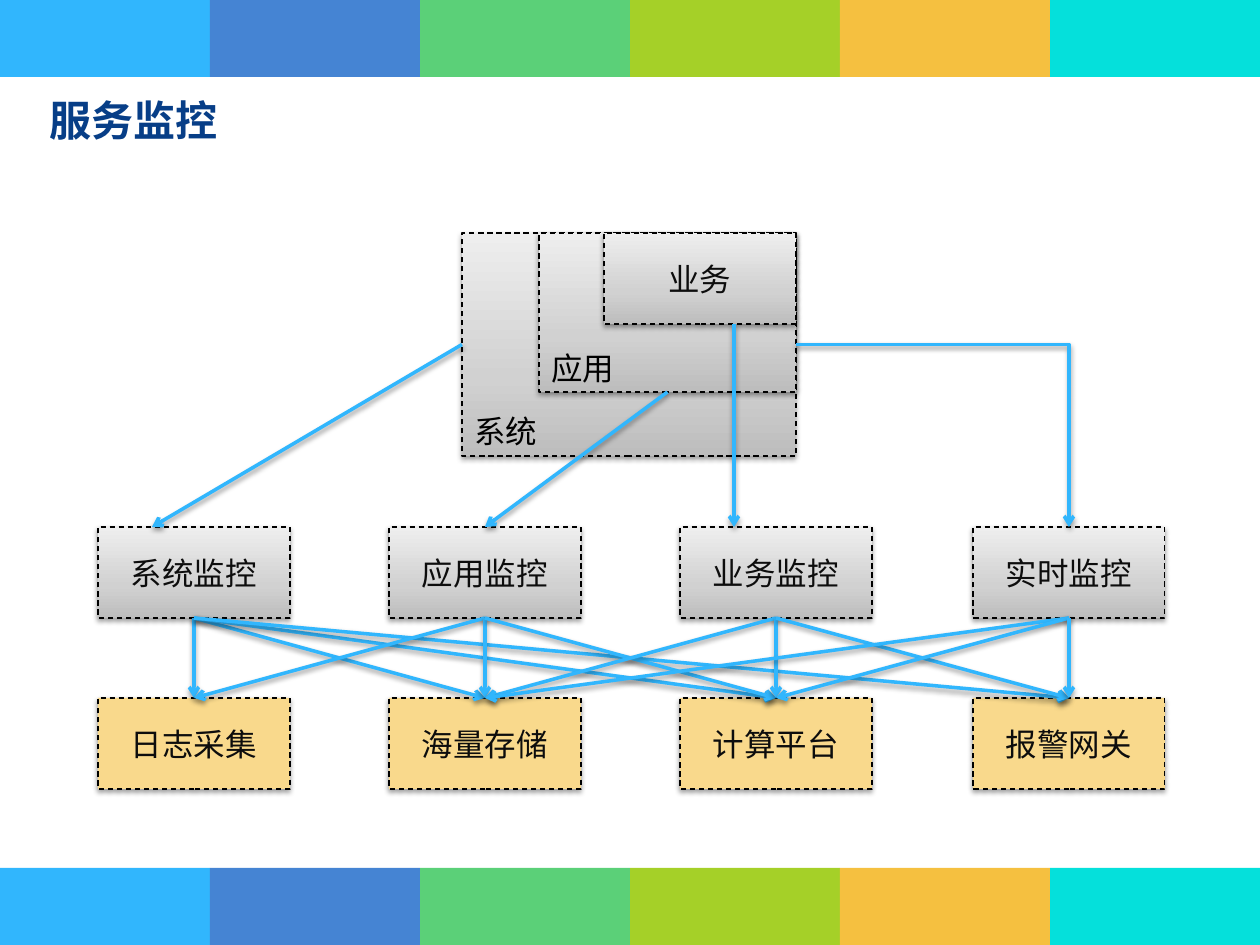
"""Build the service monitoring slide."""
from dataclasses import dataclass
from typing import Optional

from lxml.etree import SubElement
from pptx import Presentation
from pptx.dml.color import RGBColor
from pptx.enum.dml import MSO_LINE
from pptx.enum.shapes import MSO_CONNECTOR, MSO_SHAPE
from pptx.enum.text import MSO_ANCHOR, PP_ALIGN
from pptx.oxml.ns import qn
from pptx.shapes.autoshape import Shape
from pptx.shapes.connector import Connector
from pptx.slide import Slide
from pptx.util import Emu, Pt

TOP, LEFT, BOTTOM, RIGHT = range(4)


@dataclass(frozen=True)
class Theme:
    """Colours, fonts and sizes of the slide."""
    bands: tuple = ("31B6FD", "4584D3", "5BD078", "A5D028", "F5C040", "05E0DB")
    gradient: tuple = ((0, "BDBDBD"), (35, "D1D1D1"), (100, "EEEEEE"))
    service: str = "F9D98C"
    title: str = "073E87"
    text: str = "0D0D0D"
    label: str = "000000"
    outline: str = "000000"
    arrow: str = "31B6FD"
    title_font: str = "Noto Sans CJK SC"
    body_font: str = "TeX Gyre Adventor"
    title_size: int = 24
    body_size: int = 18


@dataclass(frozen=True)
class Box:
    """A rectangle in px; without a fill it takes the grey gradient."""
    left: int
    top: int
    width: int
    height: int
    text: str = ""
    fill: Optional[str] = None


THEME = Theme()
WIDTH, HEIGHT = 1260, 945
BAND_HEIGHT = 77
BOX_WIDTH, BOX_HEIGHT = 192, 91
COLUMNS = (98, 389, 680, 973)
MONITOR_TOP, SERVICE_TOP = 527, 698
MONITORS = ("系统监控", "应用监控", "业务监控", "实时监控")
SERVICES = ("日志采集", "海量存储", "计算平台", "报警网关")
SERVICES_USED = ((0, 1, 2, 3), (0, 1, 2), (1, 2, 3), (1, 2, 3))
SYSTEM = Box(462, 233, 334, 223)
APPLICATION = Box(539, 233, 257, 159)
BUSINESS = Box(604, 233, BOX_WIDTH, BOX_HEIGHT, "业务")
LABELS = (Box(462, 406, 89, 50, "系统"), Box(539, 343, 89, 50, "应用"))


def px(length: int) -> Emu:
    """Turn px into EMU."""
    return Emu(round(length * 914400 / 126))


def place(box: Box) -> tuple:
    """Give the position and size of a box in EMU."""
    return px(box.left), px(box.top), px(box.width), px(box.height)


def set_text(shape: Shape, text: str, font: str, size: int, colour: str,
             alignment: PP_ALIGN, bold: bool = False) -> None:
    """Write one formatted paragraph into a shape."""
    paragraph = shape.text_frame.paragraphs[0]
    paragraph.text = text
    paragraph.alignment = alignment
    paragraph.font.size = Pt(size)
    paragraph.font.bold = bold
    paragraph.font.color.rgb = RGBColor.from_string(colour)
    paragraph.font.name = font
    properties = paragraph._p.pPr.find(qn("a:defRPr"))
    SubElement(properties, qn("a:ea"), typeface=font)


def add_shadow(shape: Shape | Connector) -> None:
    """Give a shape or connector the soft shadow below it."""
    effects = SubElement(shape._element.spPr, qn("a:effectLst"))
    shadow = SubElement(effects, qn("a:outerShdw"), blurRad=str(Pt(3.1)),
                        dist=str(Pt(1.6)), dir="5400000", rotWithShape="0")
    colour = SubElement(shadow, qn("a:srgbClr"), val="000000")
    SubElement(colour, qn("a:alpha"), val="38000")


def fill_gradient(shape: Shape) -> None:
    """Fill a shape with the grey gradient, dark at the bottom."""
    shape.fill.gradient()
    shape.fill.gradient_angle = 90
    stops = shape._element.spPr.find(f"{qn('a:gradFill')}/{qn('a:gsLst')}")
    for stop in list(stops):
        stops.remove(stop)
    for position, colour in THEME.gradient:
        stop = SubElement(stops, qn("a:gs"), pos=str(position * 1000))
        SubElement(stop, qn("a:srgbClr"), val=colour)


def add_bands(slide: Slide, top: int) -> None:
    """Draw one row of colour bands across the slide."""
    width = WIDTH // len(THEME.bands)
    for index, colour in enumerate(THEME.bands):
        band = Box(index * width, top, width, BAND_HEIGHT)
        shape = slide.shapes.add_shape(MSO_SHAPE.RECTANGLE, *place(band))
        shape.shadow.inherit = False
        shape.fill.solid()
        shape.fill.fore_color.rgb = RGBColor.from_string(colour)
        shape.line.fill.background()


def add_box(slide: Slide, box: Box) -> Shape:
    """Draw a dashed box with centred text."""
    shape = slide.shapes.add_shape(MSO_SHAPE.RECTANGLE, *place(box))
    if box.fill:
        shape.fill.solid()
        shape.fill.fore_color.rgb = RGBColor.from_string(box.fill)
    else:
        fill_gradient(shape)
    shape.line.color.rgb = RGBColor.from_string(THEME.outline)
    shape.line.width = Pt(0.75)
    shape.line.dash_style = MSO_LINE.DASH
    add_shadow(shape)
    if box.text:
        shape.text_frame.vertical_anchor = MSO_ANCHOR.MIDDLE
        set_text(shape, box.text, THEME.body_font, THEME.body_size, THEME.text,
                 PP_ALIGN.CENTER)
    return shape


def add_row(slide: Slide, names: tuple, top: int, fill: Optional[str] = None) -> list[Shape]:
    """Draw one box in each column."""
    return [add_box(slide, Box(left, top, BOX_WIDTH, BOX_HEIGHT, name, fill))
            for left, name in zip(COLUMNS, names)]


def add_label(slide: Slide, box: Box) -> None:
    """Write a label inside a nested box."""
    label = slide.shapes.add_textbox(*place(box))
    label.text_frame.word_wrap = False
    set_text(label, box.text, THEME.body_font, THEME.body_size, THEME.label,
             PP_ALIGN.LEFT)


def add_arrow(slide: Slide, start: tuple, end: tuple, bent: bool = False) -> None:
    """Draw an arrow; each end is a (shape, side) pair or an (x, y) point in px."""
    kind = MSO_CONNECTOR.ELBOW if bent else MSO_CONNECTOR.STRAIGHT
    points = [(0, 0) if isinstance(stop[0], Shape) else stop for stop in (start, end)]
    arrow = slide.shapes.add_connector(kind, *(px(value) for point in points for value in point))
    if isinstance(start[0], Shape):
        arrow.begin_connect(*start)
    if isinstance(end[0], Shape):
        arrow.end_connect(*end)
    if bent:
        arrow._element.spPr.find(qn("a:prstGeom")).set("prst", "bentConnector2")
    arrow.line.color.rgb = RGBColor.from_string(THEME.arrow)
    arrow.line.width = Pt(2)
    SubElement(arrow.line._get_or_add_ln(), qn("a:tailEnd"), type="arrow")
    add_shadow(arrow)


def main() -> None:
    """Build and save the presentation."""
    presentation = Presentation()
    presentation.slide_width, presentation.slide_height = px(WIDTH), px(HEIGHT)
    slide = presentation.slides.add_slide(presentation.slide_layouts[5])
    for top in (0, HEIGHT - BAND_HEIGHT):
        add_bands(slide, top)

    title = slide.shapes.title
    title.left, title.top, title.width, title.height = place(Box(37, 88, 442, 63))
    title.text_frame.vertical_anchor = MSO_ANCHOR.MIDDLE
    set_text(title, "服务监控", THEME.title_font, THEME.title_size, THEME.title,
             PP_ALIGN.LEFT, bold=True)

    monitors = add_row(slide, MONITORS, MONITOR_TOP)
    services = add_row(slide, SERVICES, SERVICE_TOP, THEME.service)
    system, application, _ = [add_box(slide, box) for box in (SYSTEM, APPLICATION, BUSINESS)]
    for label in LABELS:
        add_label(slide, label)

    add_arrow(slide, (system, LEFT), (152, MONITOR_TOP))
    add_arrow(slide, (application, BOTTOM), (monitors[1], TOP))
    add_arrow(slide, (734, BUSINESS.top + BOX_HEIGHT), (734, MONITOR_TOP))
    add_arrow(slide, (system, RIGHT), (monitors[3], TOP), bent=True)
    for monitor, used in zip(monitors, SERVICES_USED):
        for index in used:
            add_arrow(slide, (monitor, BOTTOM), (services[index], TOP))
    presentation.save("out.pptx")


if __name__ == "__main__":
    main()
